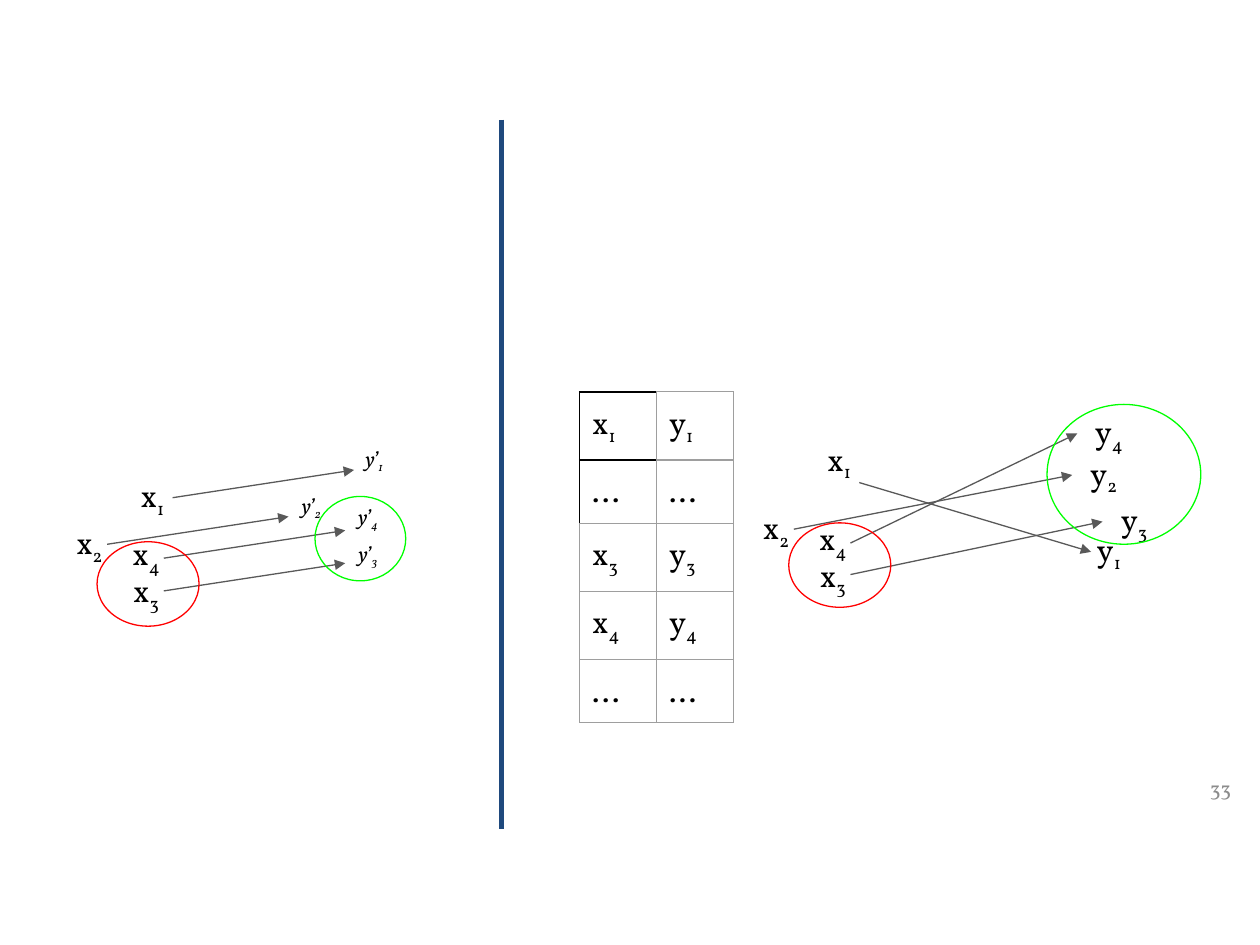
from lxml.etree import SubElement
from pptx import Presentation
from pptx.dml.color import RGBColor
from pptx.enum.shapes import MSO_CONNECTOR, MSO_SHAPE
from pptx.enum.text import MSO_ANCHOR, PP_ALIGN
from pptx.oxml.ns import qn
from pptx.util import Inches, Pt

BLACK = RGBColor(0x00, 0x00, 0x00)
GRAY = RGBColor(0x8C, 0x8C, 0x8C)
DARK = RGBColor(0x59, 0x59, 0x59)
RULE = RGBColor(0x9E, 0x9E, 0x9E)
RED = RGBColor(0xFF, 0x00, 0x00)
GREEN = RGBColor(0x00, 0xFF, 0x00)
NAVY = RGBColor(0x1F, 0x49, 0x7D)


def write(para, text, sub="", font="Vollkorn", size=18, color=BLACK,
          italic=False, align=PP_ALIGN.CENTER):
    para.alignment = align
    for part, base in ((text, None), (sub, "-25000")):
        if not part:
            continue
        run = para.add_run()
        run.text = part
        run.font.name = font
        run.font.size = Pt(size)
        run.font.italic = italic
        run.font.color.rgb = color
        if base:
            run.font._element.set("baseline", base)


class Board:
    pad = Inches(0.1)
    thin = 0.75

    def __init__(self, slide):
        self.shapes = slide.shapes

    def inset(self, item):
        item.margin_left = item.margin_right = self.pad
        item.margin_top = item.margin_bottom = self.pad

    def label(self, left, top, text, sub="", wide=0.5, high=0.46, **form):
        box = self.shapes.add_textbox(
            Inches(left), Inches(top), Inches(wide), Inches(high))
        frame = box.text_frame
        frame.word_wrap = True
        frame.vertical_anchor = MSO_ANCHOR.MIDDLE
        self.inset(frame)
        write(frame.paragraphs[0], text, sub, **form)

    def line(self, start, end, color=DARK, width=thin, arrow=True):
        link = self.shapes.add_connector(
            MSO_CONNECTOR.STRAIGHT, *(Inches(v) for v in start + end))
        link.line.color.rgb = color
        link.line.width = Pt(width)
        props = link._element.spPr
        if arrow:
            SubElement(props.find(qn("a:ln")), qn("a:tailEnd"), type="triangle")
        SubElement(props, qn("a:effectLst"))

    def ring(self, left, top, wide, high, color):
        oval = self.shapes.add_shape(
            MSO_SHAPE.OVAL, Inches(left), Inches(top), Inches(wide), Inches(high))
        oval.shadow.inherit = False
        oval.fill.background()
        oval.line.color.rgb = color
        oval.line.width = Pt(self.thin)

    def edge(self, cell, dark):
        props = cell._tc.get_or_add_tcPr()
        for side in "LRTB":
            color, width = (BLACK, 1) if side in dark else (RULE, self.thin)
            line = SubElement(props, qn("a:ln" + side), w=str(Pt(width)))
            fill = SubElement(line, qn("a:solidFill"))
            SubElement(fill, qn("a:srgbClr"), val=str(color))

    def table(self, left, top, wide, high, rows, dark):
        count = len(rows[0])
        grid = self.shapes.add_table(
            len(rows), count, Inches(left), Inches(top),
            Inches(wide * count), Inches(high * len(rows))).table
        grid.first_row = grid.horz_banding = False
        for r, row in enumerate(rows):
            for c, words in enumerate(row):
                cell = grid.cell(r, c)
                self.inset(cell)
                self.edge(cell, dark.get((r, c), ""))
                cell.fill.background()
                write(cell.text_frame.paragraphs[0], *words, align=PP_ALIGN.LEFT)


def main():
    deck = Presentation()
    deck.slide_width, deck.slide_height = Inches(10), Inches(7.5)
    board = Board(deck.slides.add_slide(deck.slide_layouts[6]))

    board.label(9.27, 6.04, "33", wide=0.6, high=0.43, size=12,
                color=GRAY, align=PP_ALIGN.RIGHT)

    small = {"size": 12, "italic": True}
    groups = (
        ("x", {}, ((0.96, 3.72), (0.46, 4.09), (0.91, 4.47), (0.91, 4.18))),
        ("y’", small, ((2.72, 3.42), (2.22, 3.79), (2.67, 4.17), (2.67, 3.88))),
        ("x", {}, ((6.41, 3.43), (5.91, 3.97), (6.36, 4.35), (6.36, 4.06))),
        ("y", {}, ((8.55, 4.15), (8.51, 3.54), (8.75, 3.91), (8.55, 3.21))),
    )
    for name, form, spots in groups:
        for num, spot in enumerate(spots, 1):
            board.label(*spot, name, str(num), **form)

    for x, y in ((1.37, 3.95), (0.85, 4.32), (1.3, 4.69), (1.3, 4.43)):
        board.line((x, y), (x + 1.44, y - 0.22))
    for start, end in (
        ((6.82, 3.83), (8.66, 4.38)),
        ((6.3, 4.2), (8.51, 3.77)),
        ((6.75, 4.56), (8.75, 4.14)),
        ((6.75, 4.31), (8.55, 3.44)),
    ):
        board.line(start, end)

    board.ring(0.77, 4.3, 0.81, 0.67, RED)
    board.ring(2.5, 3.94, 0.72, 0.67, GREEN)
    board.ring(6.26, 4.15, 0.81, 0.67, RED)
    board.ring(8.31, 3.21, 1.22, 1.11, GREEN)

    rows = [[("x", n), ("y", n)] if n else [("...",)] * 2
            for n in ("1", "", "3", "4", "")]
    board.table(4.6, 3.11, 0.61, 0.42, rows, {(0, 0): "LTB", (1, 0): "LT"})

    board.line((3.98, 0.95), (3.98, 6.58), NAVY, 3, arrow=False)
    deck.save("out.pptx")


if __name__ == "__main__":
    main()
